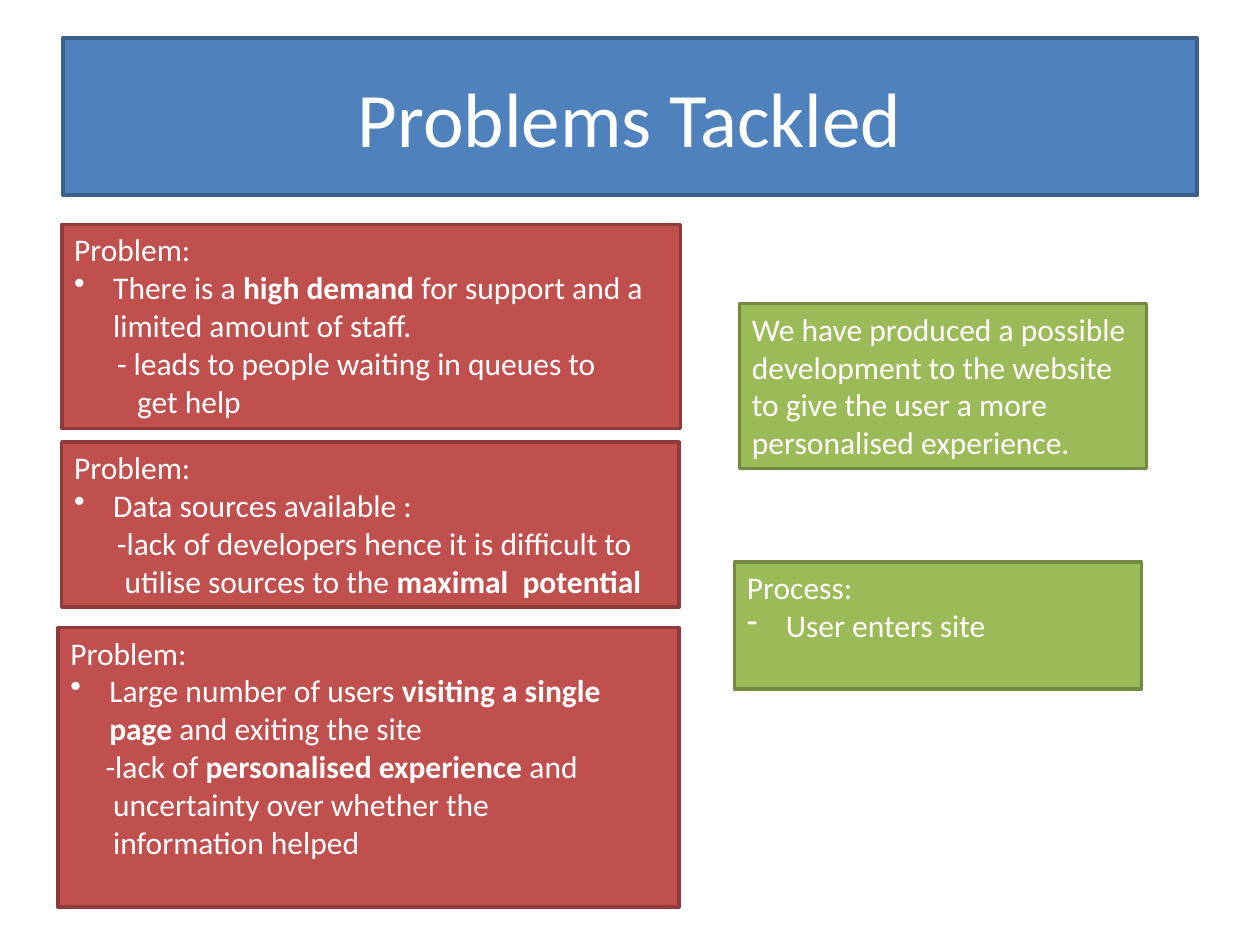
from dataclasses import dataclass
from typing import Any

from lxml.etree import SubElement
from pptx import Presentation
from pptx.dml.color import RGBColor
from pptx.enum.shapes import MSO_SHAPE as Shape
from pptx.enum.text import MSO_ANCHOR as Anchor, PP_ALIGN as Align
from pptx.oxml.ns import qn
from pptx.util import Inches, Pt

WHITE = RGBColor(0xFF, 0xFF, 0xFF)
BLUE = RGBColor(0x4F, 0x81, 0xBD)
DARK_BLUE = RGBColor(0x3A, 0x5F, 0x8C)
RED = RGBColor(0xC0, 0x50, 0x4D)
DARK_RED = RGBColor(0x8E, 0x3B, 0x39)
GREEN = RGBColor(0x9B, 0xBB, 0x59)
DARK_GREEN = RGBColor(0x73, 0x8A, 0x42)

CELL = 0.1  # inches per grid column and row
BULLET_INDENT = 0.31


def write_text(paragraph, text, size=18, align=Align.LEFT, indent=0, bullet=None,
               font="Calibri", color=WHITE):
    """Write text into a paragraph; words between ** marks are bold."""
    paragraph.alignment = align
    for index, part in enumerate(text.split("**")):
        if part:
            run = paragraph.add_run()
            run.text = part
            run.font.name, run.font.size = font, Pt(size)
            run.font.bold = index % 2 == 1
            run.font.color.rgb = color
    properties = paragraph._p.get_or_add_pPr()
    left = BULLET_INDENT if bullet else indent
    properties.set("marL", str(Inches(left)))
    properties.set("indent", str(Inches(-left if bullet else 0)))
    if bullet:
        SubElement(properties, qn("a:buChar"), char=bullet)
    else:
        SubElement(properties, qn("a:buNone"))


@dataclass
class Deck:
    """Holds the current slide and the shared box style."""
    slide: Any
    line_width: float = 2

    def box(self, column, row, columns, rows, fill, line, anchor=Anchor.TOP):
        """Add a filled rectangle on the grid and return its text frame."""
        place = [Inches(value * CELL) for value in (column, row, columns, rows)]
        shape = self.slide.shapes.add_shape(Shape.RECTANGLE, *place)
        shape.shadow.inherit = False
        shape.fill.solid()
        shape.fill.fore_color.rgb = fill
        shape.line.color.rgb = line
        shape.line.width = Pt(self.line_width)
        frame = shape.text_frame
        frame.word_wrap = True
        frame.vertical_anchor = anchor
        return frame

    def title(self, text):
        """Add the title banner."""
        frame = self.box(5, 3, 90, 12.5, BLUE, DARK_BLUE, Anchor.MIDDLE)
        write_text(frame.paragraphs[0], text, size=44, align=Align.CENTER)

    def card(self, place, colors, paragraphs):
        """Add a box holding (text, format) paragraphs."""
        frame = self.box(*place, *colors)
        for index, (text, style) in enumerate(paragraphs):
            paragraph = frame.add_paragraph() if index else frame.paragraphs[0]
            write_text(paragraph, text, **style)


PLAIN = {}
DOT = {"bullet": "•"}
DASH = {"bullet": "-"}
HEADING = ("Problem:", PLAIN)

PROBLEMS = [
    ((4.9, 17.8, 49.1, 16.2), [
        ("There is a **high demand** for support and a limited amount of staff.", DOT),
        ("- leads to people waiting in queues to", {"indent": 0.34}),
        ("get help", {"indent": 0.5})]),
    ((4.6, 49.8, 49.3, 22.2), [
        ("Large number of users **visiting a single page** and exiting the site", DOT),
        ("-lack of **personalised experience** and", {"indent": 0.28}),
        ("uncertainty over whether the", {"indent": 0.34}),
        ("information helped", {"indent": 0.34})]),
    ((4.9, 35.1, 49, 13.1), [
        ("Data sources available :", DOT),
        ("-lack of developers hence it is difficult to", {"indent": 0.34}),
        ("utilise sources to the **maximal  potential**", {"indent": 0.4})]),
]
SOLUTIONS = [
    ((58.7, 24.1, 32.3, 13.1), [
        ("We have produced a possible development to the website to give "
         "the user a more personalised experience.", PLAIN)]),
    ((58.3, 44.6, 32.3, 10.1), [
        ("Process:", PLAIN), ("User enters site", DASH)]),
]


def main():
    """Build the slide and save it."""
    presentation = Presentation()
    presentation.slide_width, presentation.slide_height = Inches(10), Inches(7.5)
    deck = Deck(presentation.slides.add_slide(presentation.slide_layouts[6]))
    deck.title("Problems Tackled")
    for place, paragraphs in PROBLEMS:
        deck.card(place, (RED, DARK_RED), [HEADING] + paragraphs)
    for place, paragraphs in SOLUTIONS:
        deck.card(place, (GREEN, DARK_GREEN), paragraphs)
    presentation.save("out.pptx")


main()
